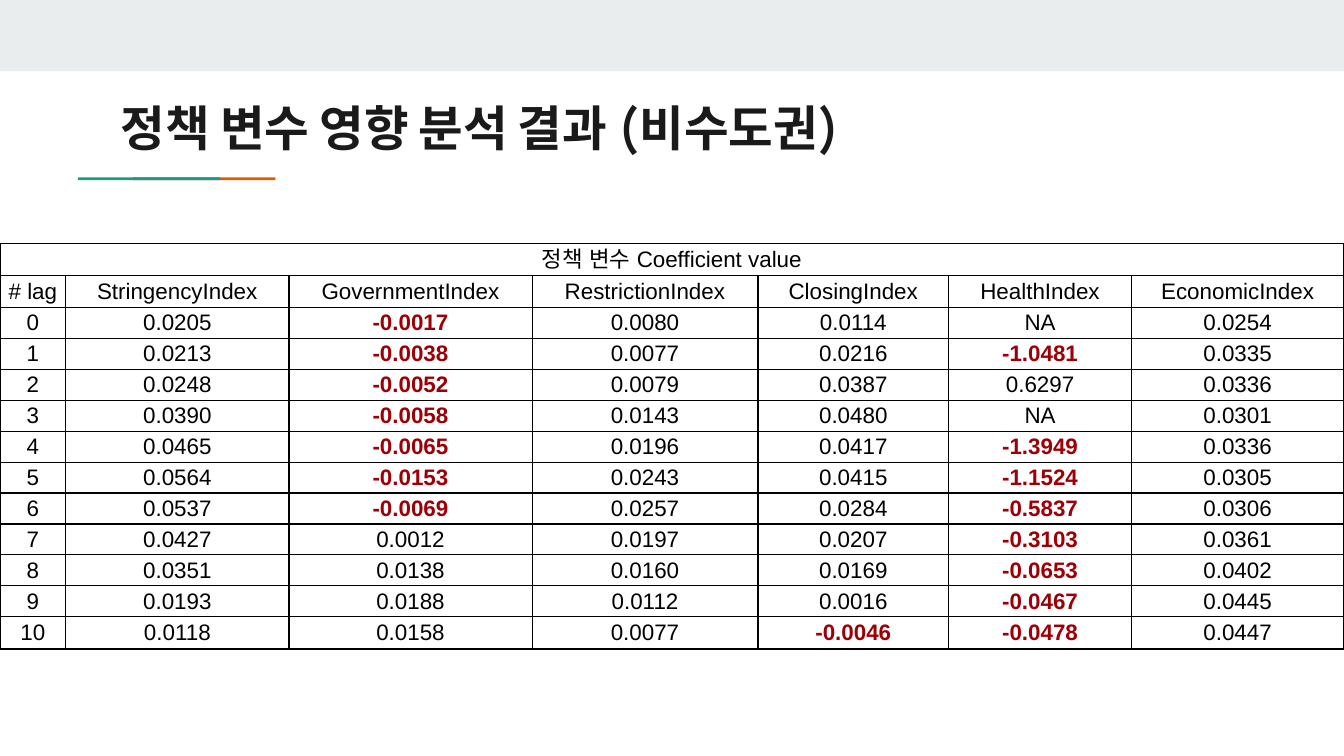
from dataclasses import dataclass

from lxml import etree
from pptx import Presentation
from pptx.dml.color import RGBColor
from pptx.enum.shapes import MSO_SHAPE
from pptx.enum.text import MSO_ANCHOR, MSO_AUTO_SIZE, PP_ALIGN
from pptx.oxml.ns import qn
from pptx.slide import Slide
from pptx.table import _Cell
from pptx.text.text import _Paragraph
from pptx.util import Inches, Pt

RECTANGLE = MSO_SHAPE.RECTANGLE
MIDDLE = MSO_ANCHOR.MIDDLE
NO_AUTOFIT = MSO_AUTO_SIZE.NONE
LEFT, CENTER = PP_ALIGN.LEFT, PP_ALIGN.CENTER
TITLE_ONLY = 5
PAGE_WIDTH = 10
PAGE_HEIGHT = PAGE_WIDTH * 9 / 16


@dataclass(frozen=True)
class Theme:
    band: str = "E9EDEE"
    orange: str = "EB5600"
    teal: str = "1A9988"
    title: str = "1A1A1A"
    text: str = "000000"
    negative: str = "9C0006"
    paper: str = "FFFFFF"
    title_font: str = "Manrope"
    table_font: str = "Arial"
    title_size: float = 26
    table_size: float = 12
    border_width: float = 0.75


@dataclass(frozen=True)
class Bar:
    left: float
    top: float
    width: float
    height: float
    color: str


THEME = Theme()

BARS = [
    Bar(0, 0, PAGE_WIDTH, 0.53, THEME.band),
    Bar(0.99, 1.32, 1.06, 0.02, THEME.orange),
    Bar(0.58, 1.32, 1.06, 0.02, THEME.teal),
]

TITLE = "정책 변수 영향 분석 결과 (비수도권)"
CAPTION = "정책 변수 Coefficient value"
HEADERS = ["# lag", "StringencyIndex", "GovernmentIndex", "RestrictionIndex",
           "ClosingIndex", "HealthIndex", "EconomicIndex"]
COLUMN_WIDTHS = [0.49, 1.66, 1.81, 1.68, 1.42, 1.36, 1.58]
TALL_ROW, DATA_ROW = 0.24, 0.23

# One row per lag, starting at lag 0
COEFFICIENTS = [
    ["0.0205", "-0.0017", "0.0080", "0.0114", "NA", "0.0254"],
    ["0.0213", "-0.0038", "0.0077", "0.0216", "-1.0481", "0.0335"],
    ["0.0248", "-0.0052", "0.0079", "0.0387", "0.6297", "0.0336"],
    ["0.0390", "-0.0058", "0.0143", "0.0480", "NA", "0.0301"],
    ["0.0465", "-0.0065", "0.0196", "0.0417", "-1.3949", "0.0336"],
    ["0.0564", "-0.0153", "0.0243", "0.0415", "-1.1524", "0.0305"],
    ["0.0537", "-0.0069", "0.0257", "0.0284", "-0.5837", "0.0306"],
    ["0.0427", "0.0012", "0.0197", "0.0207", "-0.3103", "0.0361"],
    ["0.0351", "0.0138", "0.0160", "0.0169", "-0.0653", "0.0402"],
    ["0.0193", "0.0188", "0.0112", "0.0016", "-0.0467", "0.0445"],
    ["0.0118", "0.0158", "0.0077", "-0.0046", "-0.0478", "0.0447"],
]


def format_runs(para: _Paragraph, font: str, size: float, color: str, bold: bool) -> None:
    for span in para.runs:
        span.font.name = font
        span.font.size = Pt(size)
        span.font.bold = bold
        span.font.color.rgb = RGBColor.from_string(color)
        # Hangul takes its typeface from the East Asian font slot
        etree.SubElement(span.font._element, qn("a:ea"), typeface=font)


def draw_bar(page: Slide, bar: Bar) -> None:
    box = page.shapes.add_shape(RECTANGLE, Inches(bar.left), Inches(bar.top),
                                Inches(bar.width), Inches(bar.height))
    box.shadow.inherit = False
    box.fill.solid()
    box.fill.fore_color.rgb = RGBColor.from_string(bar.color)
    box.line.fill.background()


def draw_title(page: Slide) -> None:
    box = page.shapes.title
    box.left, box.top = Inches(0.8), Inches(0.65)
    box.width, box.height = Inches(8.41), Inches(0.59)
    frame = box.text_frame
    frame.text = TITLE
    frame.word_wrap = True
    frame.auto_size = NO_AUTOFIT
    frame.vertical_anchor = MIDDLE
    frame.margin_left = frame.margin_right = Inches(0.1)
    frame.margin_top = frame.margin_bottom = Inches(0.1)
    para = frame.paragraphs[0]
    para.alignment = LEFT
    format_runs(para, THEME.title_font, THEME.title_size, THEME.title, True)
    # Kerning off keeps the word gaps at full width
    for span in para.runs:
        span.font._element.set("kern", "0")


def add_borders(cell: _Cell) -> None:
    properties = cell._tc.get_or_add_tcPr()
    for position, side in enumerate(("a:lnL", "a:lnR", "a:lnT", "a:lnB")):
        line = etree.Element(qn(side), w=str(Pt(THEME.border_width)))
        fill = etree.SubElement(line, qn("a:solidFill"))
        etree.SubElement(fill, qn("a:srgbClr"), val=THEME.text)
        properties.insert(position, line)


def fill_cell(cell: _Cell, text: str) -> None:
    negative = text.startswith("-")
    cell.text_frame.text = text
    cell.vertical_anchor = MIDDLE
    cell.margin_left = cell.margin_right = 0
    cell.margin_top = cell.margin_bottom = 0
    add_borders(cell)
    if negative:
        cell.fill.solid()
        cell.fill.fore_color.rgb = RGBColor.from_string(THEME.paper)
    else:
        cell.fill.background()
    para = cell.text_frame.paragraphs[0]
    para.alignment = CENTER
    para.font.size = Pt(THEME.table_size)
    format_runs(para, THEME.table_font, THEME.table_size,
                THEME.negative if negative else THEME.text, negative)


def draw_table(page: Slide) -> None:
    caption_row = [CAPTION] + [""] * (len(HEADERS) - 1)
    data_rows = [[str(lag), *values] for lag, values in enumerate(COEFFICIENTS)]
    rows = [caption_row, HEADERS, *data_rows]
    heights = [TALL_ROW] * 2 + [DATA_ROW] * (len(data_rows) - 1) + [TALL_ROW]

    frame = page.shapes.add_table(len(rows), len(HEADERS), Inches(0), Inches(1.81),
                                  Inches(sum(COLUMN_WIDTHS)), Inches(sum(heights)))
    table = frame.table
    table.first_row = table.horz_banding = False
    for column, width in zip(table.columns, COLUMN_WIDTHS):
        column.width = Inches(width)
    for row, height, texts in zip(table.rows, heights, rows):
        row.height = Inches(height)
        for cell, text in zip(row.cells, texts):
            fill_cell(cell, text)
    table.cell(0, 0).merge(table.cell(0, len(HEADERS) - 1))


def main() -> None:
    deck = Presentation()
    deck.slide_width, deck.slide_height = Inches(PAGE_WIDTH), Inches(PAGE_HEIGHT)
    page = deck.slides.add_slide(deck.slide_layouts[TITLE_ONLY])

    # Top band and the two-colour rule under the title
    for bar in BARS:
        draw_bar(page, bar)

    # Title and coefficient table
    draw_title(page)
    draw_table(page)

    deck.save("out.pptx")


if __name__ == "__main__":
    main()
